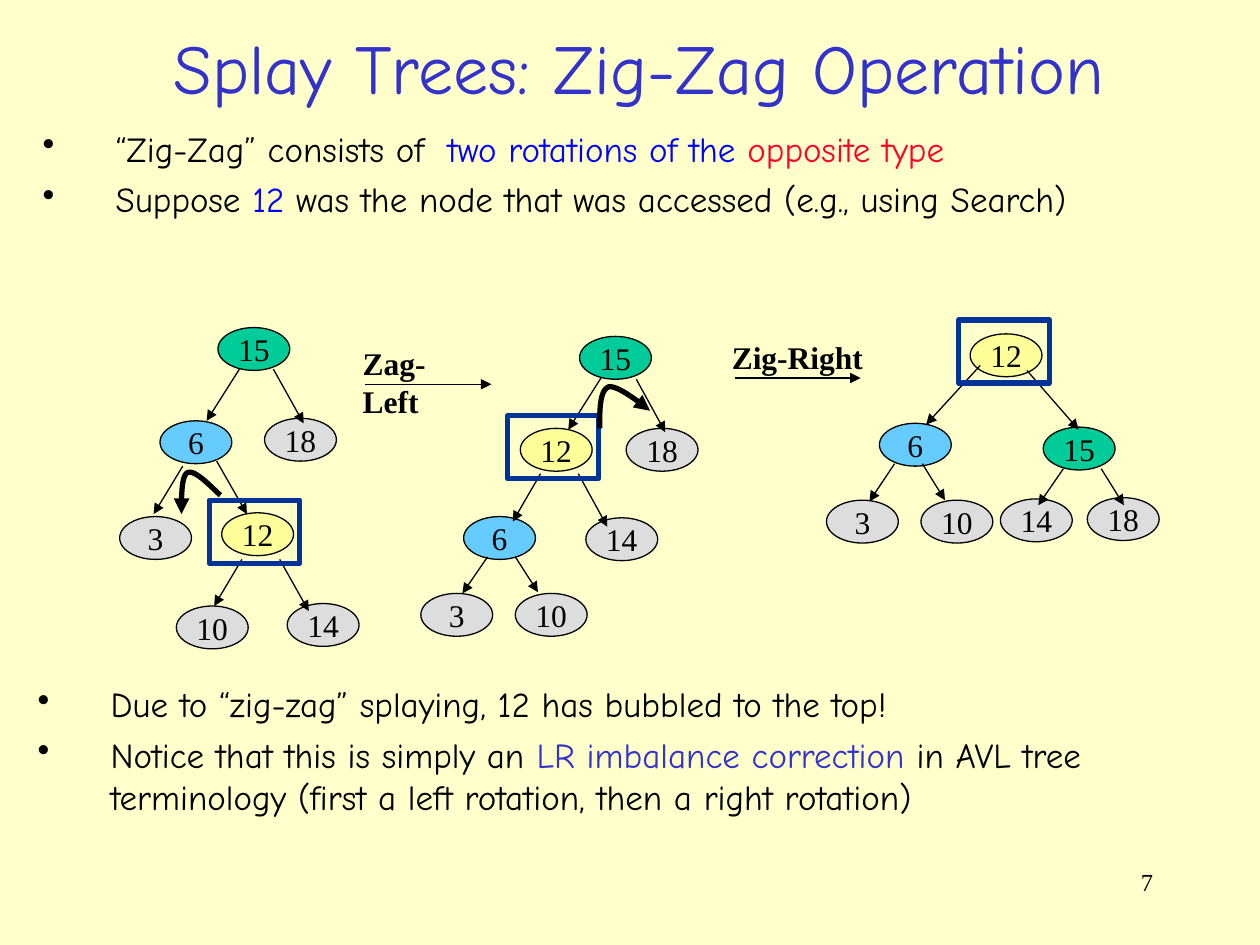
import pptx
import pptx.dml.color
import pptx.enum.shapes
import pptx.enum.text
import pptx.oxml
import pptx.oxml.ns
import pptx.util

Inches, Pt = pptx.util.Inches, pptx.util.Pt
ALIGN = pptx.enum.text.PP_ALIGN
ANCHOR = pptx.enum.text.MSO_ANCHOR
SHAPE = pptx.enum.shapes.MSO_SHAPE

COLORS = {
    "background": "FFFFCC", "ink": "000000", "title": "3333CC", "blue": "0000FF", "red": "FD0128",
    "frame": "003399", "green": "00CC99", "sky": "66CCFF", "yellow": "FFFF99", "gray": "DDDDDD",
}
NODE_FILLS = {15: "green", 6: "sky", 12: "yellow"}
SANS, SERIF = "Comic Neue", "Times New Roman"
NODE_W, NODE_H = 0.57, 0.34
FRAME_W, FRAME_H = 0.72, 0.5

TREES = [
    {
        "origin": (0.95, 2.6),
        "nodes": {15: (0.78, 0), 6: (0.32, 0.74), 18: (1.15, 0.72), 3: (0, 1.5),
                  12: (0.81, 1.47), 10: (0.45, 2.21), 14: (1.33, 2.19)},
        "edges": [(0.95, 0.33, 0.69, 0.74), (1.22, 0.33, 1.46, 0.76), (0.77, 1.06, 1.01, 1.48),
                  (0.5, 1.1, 0.27, 1.48), (0.97, 1.84, 0.75, 2.21), (1.27, 1.84, 1.5, 2.25)],
        "frame": (0.71, 1.37),
        "rotation": [(0.8, 1.33), (0.76, 1.3), (0.6, 1.12), (0.54, 1.15),
                     (0.49, 1.17), (0.49, 1.33), (0.49, 1.48)],
    },
    {
        "origin": (3.34, 2.67),
        "nodes": {15: (1.26, 0), 6: (0.34, 1.43), 18: (1.63, 0.73), 3: (0, 2.04),
                  12: (0.79, 0.73), 10: (0.75, 2.04), 14: (1.31, 1.44)},
        "edges": [(1.43, 0.33, 1.17, 0.74), (1.71, 0.34, 1.94, 0.76), (0.75, 1.75, 0.93, 2.03),
                  (0.53, 1.75, 0.33, 2.04), (0.95, 1.09, 0.73, 1.47), (1.25, 1.09, 1.48, 1.51)],
        "frame": (0.69, 0.63),
        "rotation": [(1.42, 0.73), (1.42, 0.58), (1.42, 0.43), (1.49, 0.4),
                     (1.56, 0.38), (1.77, 0.55), (1.82, 0.59)],
    },
    {
        "origin": (6.56, 2.54),
        "nodes": {15: (1.72, 0.85), 6: (0.42, 0.82), 18: (2.07, 1.41), 3: (0, 1.43),
                  12: (1.14, 0.11), 10: (0.75, 1.43), 14: (1.38, 1.42)},
        "edges": [(0.76, 1.14, 0.94, 1.43), (0.54, 1.14, 0.34, 1.44), (1.22, 0.36, 0.79, 0.83),
                  (1.59, 0.4, 2.0, 0.87), (1.88, 1.18, 1.68, 1.47), (2.18, 1.18, 2.36, 1.47)],
        "frame": (1.05, 0),
        "rotation": [],
    },
]

INTRO = [
    [("“Zig-Zag” consists of  ", "ink"), ("two rotations of the ", "blue"), ("opposite type", "red")],
    [("Suppose ", "ink"), ("12 ", "blue"),
     ("was the node that was accessed (e.g., using Search)", "ink")],
]
CONCLUSION = [
    [("Due to “zig-zag” splaying, 12 has bubbled to the top!", "ink")],
    [("Notice that this is simply an ", "ink"), ("LR imbalance correction", "title"),
     (" in AVL tree terminology (first a left rotation, then a right rotation)", "ink")],
]


def rgb(name):
    """Return the named colour."""
    return pptx.dml.color.RGBColor.from_string(COLORS[name])


def style_run(r, size, font, color="ink", bold=False):
    """Set the font of a run."""
    r.font.size, r.font.name, r.font.bold = Pt(size), font, bold
    r.font.color.rgb = rgb(color)


def style_line(sp, color="ink", width=0.75, arrow=False):
    """Set an outline, with an arrowhead at its end if asked."""
    sp.line.color.rgb = rgb(color)
    sp.line.width = Pt(width)
    if arrow:
        ln = sp.line._get_or_add_ln()
        ln.append(pptx.oxml.parse_xml(f'<a:tailEnd {pptx.oxml.ns.nsdecls("a")} type="triangle"/>'))


def add_arrow(s, x1, y1, x2, y2):
    """Draw a thin straight arrow."""
    sp = s.shapes.add_connector(pptx.enum.shapes.MSO_CONNECTOR.STRAIGHT,
                                Inches(x1), Inches(y1), Inches(x2), Inches(y2))
    style_line(sp, arrow=True)
    sp._element.spPr.append(pptx.oxml.parse_xml(f'<a:effectLst {pptx.oxml.ns.nsdecls("a")}/>'))


def add_label(s, x, y, w, h, text, size, align=ALIGN.LEFT, bold=False, wrap=False):
    """Add a one-line serif text box."""
    tf = s.shapes.add_textbox(Inches(x), Inches(y), Inches(w), Inches(h)).text_frame
    tf.word_wrap = wrap
    p = tf.paragraphs[0]
    p.text, p.alignment = text, align
    style_run(p.runs[0], size, SERIF, bold=bold)


def add_title(s, x, y, w, h, text):
    """Place and format the title placeholder."""
    sp = s.shapes.title
    sp.left, sp.top, sp.width, sp.height = Inches(x), Inches(y), Inches(w), Inches(h)
    tf = sp.text_frame
    tf.text = text
    tf.auto_size = pptx.enum.text.MSO_AUTO_SIZE.NONE
    tf.vertical_anchor = ANCHOR.MIDDLE
    tf.paragraphs[0].alignment = ALIGN.CENTER
    style_run(tf.paragraphs[0].runs[0], 40, SANS, "title")


def add_bullets(s, x, y, w, h, items):
    """Add a bulleted list whose items are lists of coloured runs."""
    tf = s.shapes.add_textbox(Inches(x), Inches(y), Inches(w), Inches(h)).text_frame
    tf.word_wrap = True
    for i, item in enumerate(items):
        p = tf.add_paragraph() if i else tf.paragraphs[0]
        p.space_before = Pt(5)
        pPr = p._p.get_or_add_pPr()
        pPr.set("marL", str(Inches(0.58)))
        pPr.set("indent", str(-Inches(0.58)))
        pPr.append(pptx.oxml.parse_xml(f'<a:buChar {pptx.oxml.ns.nsdecls("a")} char="•"/>'))
        for text, color in item:
            r = p.add_run()
            r.text = text
            style_run(r, 20, SANS, color)


def add_node(s, x, y, key):
    """Draw one tree node with its key."""
    sp = s.shapes.add_shape(SHAPE.OVAL, Inches(x), Inches(y), Inches(NODE_W), Inches(NODE_H))
    sp.shadow.inherit = False
    sp.fill.solid()
    sp.fill.fore_color.rgb = rgb(NODE_FILLS.get(key, "gray"))
    style_line(sp)
    tf = sp.text_frame
    tf.text = str(key)
    tf.word_wrap = False
    tf.vertical_anchor = ANCHOR.MIDDLE
    tf.paragraphs[0].alignment = ALIGN.CENTER
    style_run(tf.paragraphs[0].runs[0], 18, SERIF)


def bezier(points, steps=12):
    """Return points along one cubic curve, without its start."""
    def at(t, axis):
        a, b, c, d = (pt[axis] for pt in points)
        u = 1 - t
        return u ** 3 * a + 3 * u * u * t * b + 3 * u * t * t * c + t ** 3 * d
    return [(at(i / steps, 0), at(i / steps, 1)) for i in range(1, steps + 1)]


def add_rotation(s, x, y, controls):
    """Draw a thick curved arrow through two joined cubic curves."""
    points = [controls[0]] + bezier(controls[:4]) + bezier(controls[3:])
    start, *rest = [(Inches(x + dx), Inches(y + dy)) for dx, dy in points]
    builder = s.shapes.build_freeform(*start)
    builder.add_line_segments(rest, close=False)
    sp = builder.convert_to_shape()
    sp.shadow.inherit = False
    sp.fill.background()
    style_line(sp, width=3, arrow=True)


def add_tree(s, origin, nodes, edges, frame, rotation):
    """Draw a tree, its framed node and its rotation from an origin."""
    x, y = origin
    for key, (dx, dy) in nodes.items():
        add_node(s, x + dx, y + dy, key)
    for x1, y1, x2, y2 in edges:
        add_arrow(s, x + x1, y + y1, x + x2, y + y2)
    sp = s.shapes.add_shape(SHAPE.RECTANGLE, Inches(x + frame[0]), Inches(y + frame[1]),
                            Inches(FRAME_W), Inches(FRAME_H))
    sp.shadow.inherit = False
    sp.fill.background()
    style_line(sp, "frame", 3)
    if rotation:
        add_rotation(s, x, y, rotation)


def add_step(s, x, y, w, text):
    """Add a step name over its arrow."""
    add_label(s, x, y, w, 0.4, text, 18, bold=True)
    add_arrow(s, x + 0.12, y + 0.37, x + 1.12, y + 0.37)


def main():
    """Build the slide and save it."""
    prs = pptx.Presentation()
    prs.slide_width, prs.slide_height = Inches(10), Inches(7.5)
    s = prs.slides.add_slide(prs.slide_layouts[5])
    s.background.fill.solid()
    s.background.fill.fore_color.rgb = rgb("background")
    add_title(s, 0.3, 0.15, 9.54, 0.76, "Splay Trees: Zig-Zag Operation")
    add_bullets(s, 0.24, 0.96, 9.37, 1.19, INTRO)
    add_bullets(s, 0.2, 5.37, 9.46, 1.48, CONCLUSION)
    for tree in TREES:
        add_tree(s, **tree)
    add_step(s, 2.78, 2.68, 1.14, "Zag-Left")
    add_step(s, 5.71, 2.63, 1.24, "Zig-Right")
    add_label(s, 7.17, 6.83, 2.08, 0.5, "7", 14, ALIGN.RIGHT, wrap=True)
    prs.save("out.pptx")


if __name__ == "__main__":
    main()
